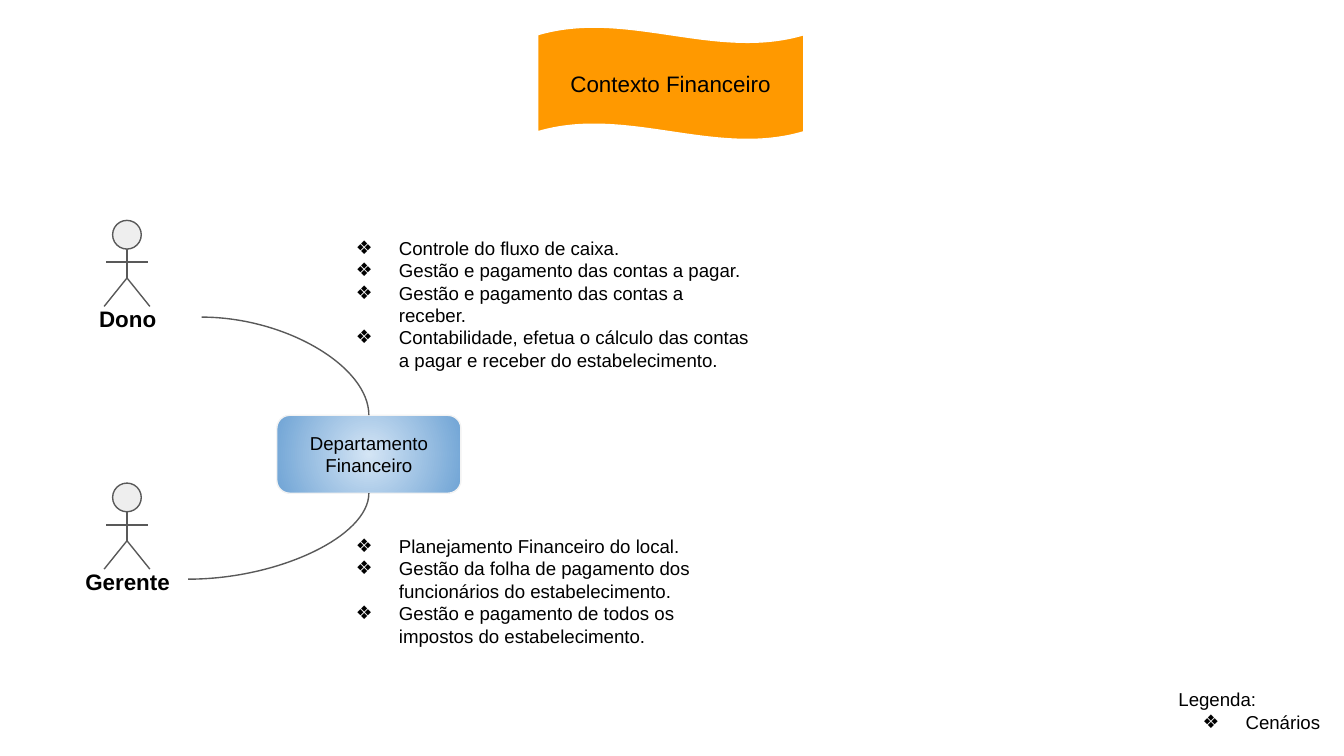
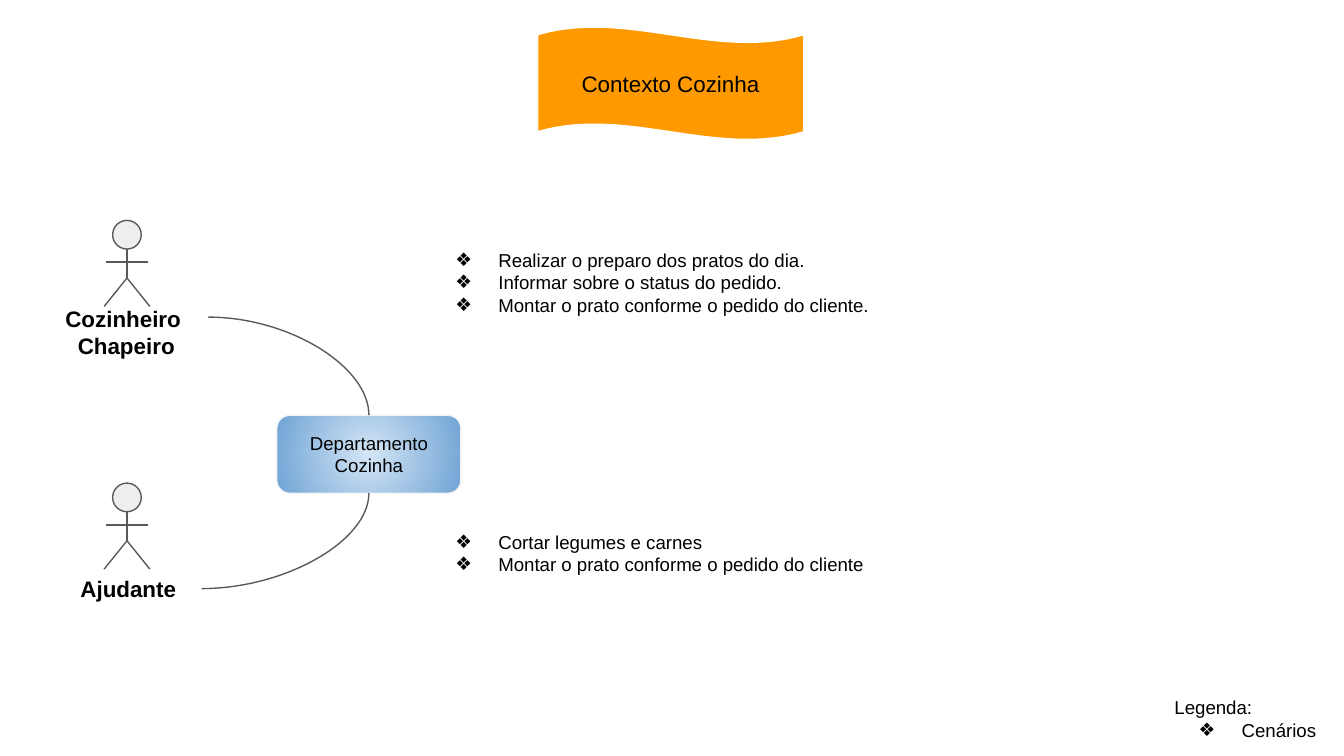
from lxml import etree
from pptx import Presentation
from pptx.dml.color import RGBColor
from pptx.enum.shapes import MSO_CONNECTOR, MSO_SHAPE
from pptx.enum.text import MSO_ANCHOR, PP_ALIGN
from pptx.oxml.ns import qn
from pptx.util import Inches, Pt

STRAIGHT, CURVE = MSO_CONNECTOR.STRAIGHT, MSO_CONNECTOR.CURVE
WAVE, ROUNDED = MSO_SHAPE.WAVE, MSO_SHAPE.ROUNDED_RECTANGLE
HEAD = MSO_SHAPE.FLOWCHART_CONNECTOR
CENTER, LEFT = PP_ALIGN.CENTER, PP_ALIGN.LEFT
TOP, MIDDLE = MSO_ANCHOR.TOP, MSO_ANCHOR.MIDDLE

COLORS = {
    "text": "000000", "banner": "FF9900", "banner_edge": "FFFFFF",
    "glow": "D4E5F5", "department": "70A4D5", "department_edge": "F3F3F3",
    "head": "EEEEEE", "stroke": "595959",
}
SMALL = {"name": "Arial", "size": Pt(10), "bold": False}
LARGE = {"name": "Arial", "size": Pt(12), "bold": False}
CAPTION = {"name": "Arial", "size": Pt(12), "bold": True}
MARGINS = ("margin_left", "margin_top", "margin_right", "margin_bottom")
WIDTH, HEIGHT = Inches(10), Inches(5.625)
UNIT = WIDTH // 100
BULLET = "❖"

BANNER = (40, 2, 19.8, 8.4)
DEPARTMENT = (20.6, 30.9, 13.7, 5.8)
FIGURES = ((7.75, 16.4, 3.4, 6.4), (7.75, 35.95, 3.4, 6.4))
LIMBS = (
    ((0.5, 0.33), (0.5, 0.67)),
    ((0.05, 0.485), (0.95, 0.485)),
    ((0.5, 0.67), (0, 1)),
    ((1, 1), (0.5, 0.67)),
)


def grid(*values):
    """Turn grid columns and rows into slide lengths."""
    return [round(value * UNIT) for value in values]


def color(key):
    """Return the palette colour with the given key."""
    return RGBColor.from_string(COLORS[key])


def stroke(item, key="stroke"):
    """Give a shape or connector its thin outline."""
    item.line.color.rgb = color(key)
    item.line.width = Pt(0.75)


def write(item, lines, style, align=LEFT, anchor=TOP):
    """Write paragraphs in one style and return the text frame."""
    frame = item.text_frame
    frame.word_wrap = True
    frame.vertical_anchor = anchor
    for margin in MARGINS:
        setattr(frame, margin, Inches(0.1))
    frame.text = "\n".join(lines)
    for paragraph in frame.paragraphs:
        paragraph.alignment = align
        font = paragraph.runs[0].font
        font.color.rgb = color("text")
        for attribute, value in style.items():
            setattr(font, attribute, value)
    return frame


def add_bullet(paragraph):
    """Hang a paragraph behind a diamond bullet."""
    properties = paragraph._p.get_or_add_pPr()
    properties.set("marL", str(Inches(0.5)))
    properties.set("indent", str(-Inches(0.32)))
    tint = etree.SubElement(properties, qn("a:buClr"))
    etree.SubElement(tint, qn("a:srgbClr"), val=COLORS["text"])
    etree.SubElement(properties, qn("a:buFont"), typeface=SMALL["name"])
    etree.SubElement(properties, qn("a:buChar"), char=BULLET)


def add_stroke(shapes, kind, start, end):
    """Draw a connector between two grid points."""
    connector = shapes.add_connector(kind, *grid(*start, *end))
    stroke(connector)
    etree.SubElement(connector._element.spPr, qn("a:effectLst"))
    return connector


def add_banner(slide, box, title):
    """Place the waving title banner."""
    banner = slide.shapes.add_shape(WAVE, *grid(*box))
    banner.shadow.inherit = False
    banner.adjustments[0] = 0.07
    banner.fill.solid()
    banner.fill.fore_color.rgb = color("banner")
    stroke(banner, "banner_edge")
    write(banner, [title], LARGE, CENTER, MIDDLE)


def add_department(slide, box, name):
    """Place the department box with its radial glow."""
    department = slide.shapes.add_shape(ROUNDED, *grid(*box))
    department.shadow.inherit = False
    department.fill.gradient()
    stops = department.fill.gradient_stops
    for stop, position, key in zip(stops, (0, 1), ("glow", "department")):
        stop.position = position
        stop.color.rgb = color(key)
    gradient = department._element.spPr.find(qn("a:gradFill"))
    gradient.remove(gradient.find(qn("a:lin")))
    radial = etree.SubElement(gradient, qn("a:path"))
    radial.set("path", "circle")
    sides = dict.fromkeys("ltrb", "50000")
    etree.SubElement(radial, qn("a:fillToRect"), **sides)
    stroke(department, "department_edge")
    write(department, [name], SMALL, CENTER, MIDDLE)


def add_actor(slide, box, name, caption_box):
    """Place a stick figure in its box, grouped with its caption."""
    left, top, width, height = box
    shapes = slide.shapes.add_group_shape().shapes
    head_size = height / 3
    head_left = left + (width - head_size) / 2
    head = shapes.add_shape(HEAD, *grid(head_left, top, head_size, head_size))
    head.shadow.inherit = False
    head.fill.solid()
    head.fill.fore_color.rgb = color("head")
    stroke(head)
    for limb in LIMBS:
        start, end = [(left + x * width, top + y * height) for x, y in limb]
        add_stroke(shapes, STRAIGHT, start, end)
    caption = shapes.add_textbox(*grid(*caption_box))
    write(caption, [name], CAPTION, CENTER)


def add_link(slide, start, box, share):
    """Curve from an actor to the top (0) or bottom (1) of a box."""
    left, top, width, height = box
    end = (left + width / 2, top + share * height)
    link = add_stroke(slide.shapes, CURVE, start, end)
    link._element.spPr.find(qn("a:prstGeom")).set("prst", "curvedConnector2")


def add_scenarios(slide, box, scenarios):
    """List the scenarios of one actor."""
    listing = slide.shapes.add_textbox(*grid(*box))
    for paragraph in write(listing, scenarios, SMALL).paragraphs:
        add_bullet(paragraph)


def add_legend(slide, box):
    """Place the legend that explains the bullet."""
    legend = slide.shapes.add_textbox(*grid(*box))
    add_bullet(write(legend, ["Legenda:", "Cenários"], SMALL).paragraphs[1])


def add_context(deck, context):
    """Build one context slide from its content."""
    slide = deck.slides.add_slide(deck.slide_layouts[6])
    add_banner(slide, BANNER, "Contexto " + context["name"])
    add_department(slide, DEPARTMENT, "Departamento " + context["name"])
    for share, (figure, actor) in enumerate(zip(FIGURES, context["actors"])):
        add_actor(slide, figure, actor["name"], actor["caption"])
        add_link(slide, actor["link"], DEPARTMENT, share)
        add_scenarios(slide, actor["box"], actor["scenarios"])
    add_legend(slide, context["legend"])


CONTEXTS = [
    {"name": "Financeiro", "legend": (86.7, 50.2, 12.7, 5.2), "actors": [
        {"name": "Dono", "caption": (3.9, 21.7, 11.2, 3.7),
         "link": (15, 23.6), "box": (23.7, 16.6, 33.2, 12.2),
         "scenarios": [
             "Controle do fluxo de caixa.",
             "Gestão e pagamento das contas a pagar.",
             "Gestão e pagamento das contas a receber.",
             "Contabilidade, efetua o cálculo das contas a pagar e receber "
             "do estabelecimento."]},
        {"name": "Gerente", "caption": (5, 41.3, 9, 3.7),
         "link": (14, 43.1), "box": (23.7, 38.8, 33.2, 9.1),
         "scenarios": [
             "Planejamento Financeiro do local.",
             "Gestão da folha de pagamento dos funcionários do "
             "estabelecimento.",
             "Gestão e pagamento de todos os impostos do "
             "estabelecimento."]}]},
    {"name": "Cozinha", "legend": (86.4, 50.8, 18.8, 5.2), "actors": [
        {"name": "Cozinheiro\u00a0Chapeiro", "caption": (3.4, 21.7, 12, 3.8),
         "link": (15.5, 23.6), "box": (31.1, 17.5, 38.1, 12.2),
         "scenarios": [
             "Realizar o preparo dos pratos do dia.",
             "Informar sobre o status do pedido.",
             "Montar o prato conforme o pedido do cliente."]},
        {"name": "Ajudante", "caption": (4.1, 41.8, 10.9, 3.9),
         "link": (15, 43.8), "box": (31.1, 38.5, 38.5, 12.2),
         "scenarios": [
             "Cortar legumes e carnes",
             "Montar o prato conforme o pedido do cliente"]}]},
]

presentation = Presentation()
presentation.slide_width, presentation.slide_height = WIDTH, HEIGHT
for content in CONTEXTS:
    add_context(presentation, content)
presentation.save("out.pptx")
